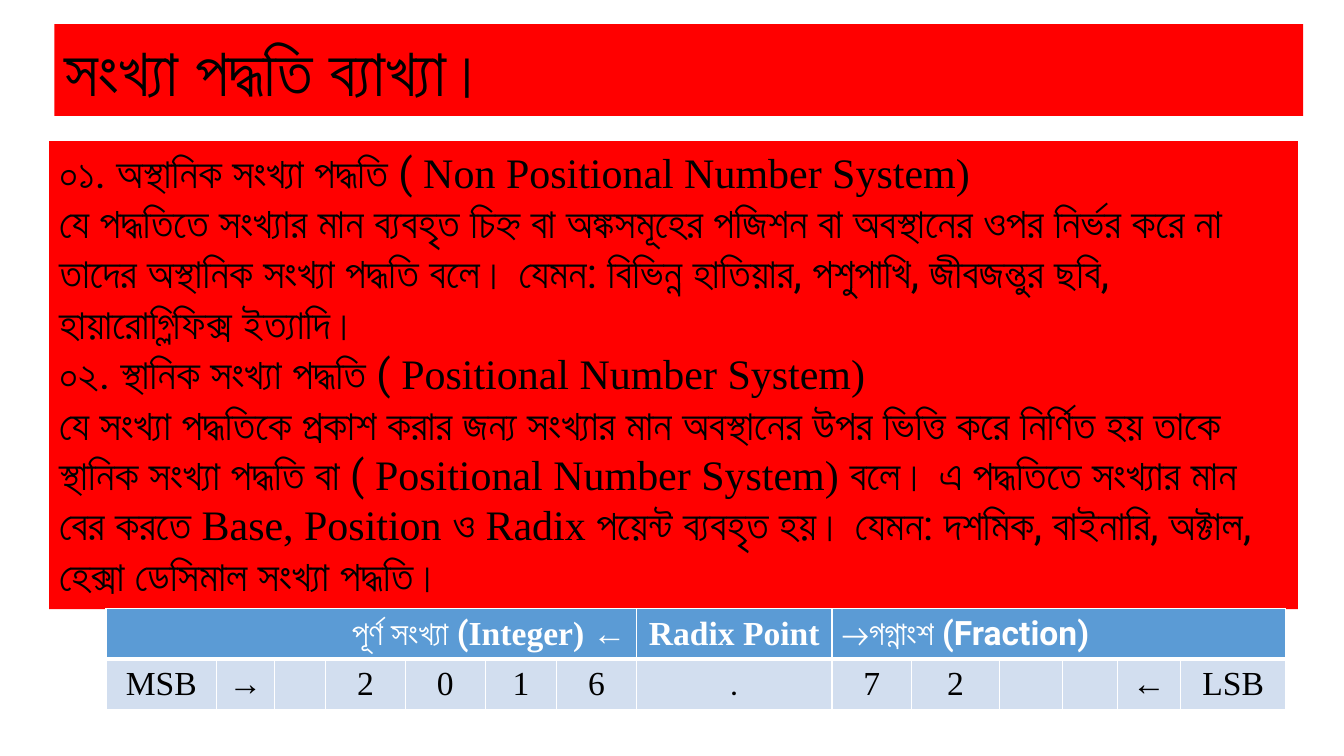
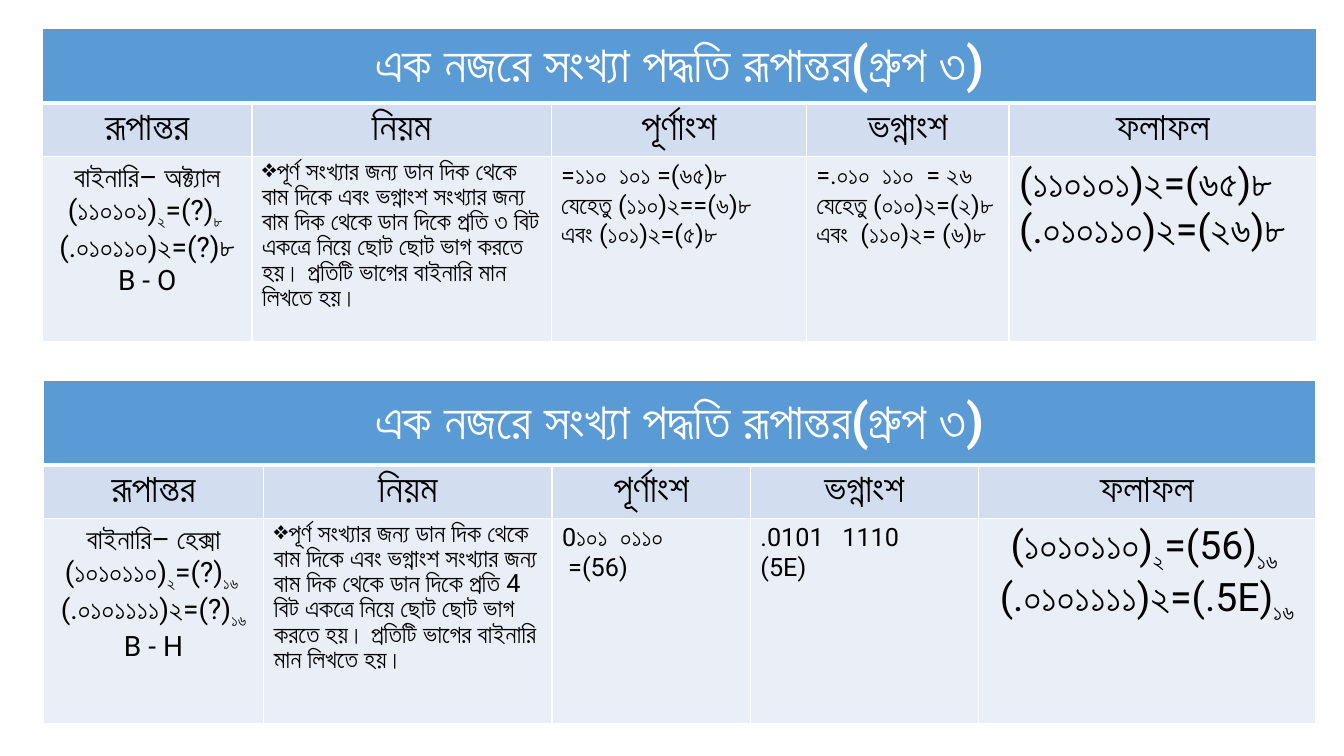
from lxml.etree import SubElement
from pptx import Presentation
from pptx.dml.color import RGBColor
from pptx.enum.shapes import MSO_SHAPE
from pptx.enum.text import MSO_ANCHOR, PP_ALIGN
from pptx.oxml.ns import qn
from pptx.util import Cm, Pt

RED = RGBColor(0xFF, 0x00, 0x00)
BLACK = RGBColor(0x00, 0x00, 0x00)
WHITE = RGBColor(0xFF, 0xFF, 0xFF)
HEADER_BLUE = RGBColor(0x5B, 0x9B, 0xD5)
BAND_BLUE = RGBColor(0xD2, 0xDE, 0xEF)
PALE_BLUE = RGBColor(0xEA, 0xEF, 0xF7)
BODY_FONT = "Roboto"
LATIN_FONT = "Times New Roman"
LEFT, CENTER, RIGHT = PP_ALIGN.LEFT, PP_ALIGN.CENTER, PP_ALIGN.RIGHT

SYSTEMS = [
    "০১. অস্থানিক সংখ্যা পদ্ধতি ( |Non Positional Number System)",
    "যে পদ্ধতিতে সংখ্যার মান ব্যবহৃত চিহ্ন বা অঙ্কসমূহের পজিশন বা অবস্থানের ওপর নির্ভর করে না "
    "তাদের অস্থানিক সংখ্যা পদ্ধতি বলে। যেমন: বিভিন্ন হাতিয়ার, পশুপাখি, জীবজন্তুর ছবি, "
    "হায়ারোগ্লিফিক্স ইত্যাদি।",
    "০২. স্থানিক সংখ্যা পদ্ধতি ( |Positional Number System)",
    "যে সংখ্যা পদ্ধতিকে প্রকাশ করার জন্য সংখ্যার মান অবস্থানের উপর ভিত্তি করে নির্ণিত হয় তাকে "
    "স্থানিক সংখ্যা পদ্ধতি বা ( |Positional Number System) |বলে। এ পদ্ধতিতে সংখ্যার মান বের করতে "
    "|Base, Position |ও |Radix |পয়েন্ট ব্যবহৃত হয়। যেমন: দশমিক, বাইনারি, অক্টাল, "
    "হেক্সা ডেসিমাল সংখ্যা পদ্ধতি।",
]
PLACE_COLUMNS = [2.79, 1.45, 1.3, 2.01, 2.01, 1.8, 2.01, 4.93, 2.01, 2.21, 1.6, 1.37, 1.6, 2.64]
PLACE_HEADERS = [
    (0, 6, "পূর্ণ সংখ্যা (|Integer) ←", RIGHT),
    (7, 7, "|Radix Point", CENTER),
    (8, 13, "→গগ্নাংশ (Fraction)", LEFT),
]
PLACE_DIGITS = ["|MSB", "|→", "", "|2", "|0", "|1", "|6", ".", "|7", "|2", "", "", "|←", "|LSB"]

CONVERSION_TITLE = "এক নজরে সংখ্যা পদ্ধতি রূপান্তর(গ্রুপ ৩)"
CONVERSION_HEADINGS = ["রূপান্তর", "নিয়ম", "পূর্ণাংশ", "ভগ্নাংশ", "ফলাফল"]
RULE = ("পূর্ণ সংখ্যার জন্য ডান দিক থেকে বাম দিকে এবং ভগ্নাংশ সংখ্যার জন্য বাম দিক থেকে ডান দিকে "
        "প্রতি {} বিট একত্রে নিয়ে ছোট ছোট ভাগ করতে হয়। প্রতিটি ভাগের বাইনারি মান লিখতে হয়।")
OCTAL = [
    ["বাইনারি– অক্ট্যাল (১১০১০১)|২|=(?)|৮ ", "(.০১০১১০)২=(?)৮", "B - O"],
    [RULE.format("৩")],
    ["=১১০  ১০১ =(৬৫)৮", "যেহেতু (১১০)২==(৬)৮", "এবং (১০১)২=(৫)৮"],
    ["=.০১০  ১১০  = ২৬", "যেহেতু (০১০)২=(২)৮", "এবং  (১১০)২= (৬)৮"],
    ["(১১০১০১)২=(৬৫)৮", "(.০১০১১০)২=(২৬)৮"],
]
HEXADECIMAL = [
    ["বাইনারি– হেক্সা (১০১০১১০)|২|=(?)|১৬ ", "(.০১০১১১১)২=(?)|১৬", "B - H"],
    [RULE.format("4")],
    ["0১০১  ০১১০", " =(56)"],
    [".0101   1110", "(5E)"],
    ["(১০১০১১০)|২|=(56)|১৬ ", "(.০১০১১১১)২=(.5E)|১৬"],
]


def set_typeface(run, name):
    """Use one typeface for Latin, East Asian and complex scripts."""
    run.font.name = name
    properties = run._r.get_or_add_rPr()
    for tag in ("a:ea", "a:cs"):
        SubElement(properties, qn(tag)).set("typeface", name)


def set_latin(run):
    set_typeface(run, LATIN_FONT)


def set_subscript(run):
    set_typeface(run, BODY_FONT)
    run._r.get_or_add_rPr().set("baseline", "-25000")


def write(text_frame, lines, size, color=BLACK, align=LEFT, bold=False,
          alternate=set_latin, line_pitch=None, bullet=None):
    """Write one paragraph per line; every second part between bars gets the alternate style."""
    for index, line in enumerate(lines):
        paragraph = text_frame.add_paragraph() if index else text_frame.paragraphs[0]
        paragraph.alignment = align
        if line_pitch:
            paragraph.line_spacing = Pt(line_pitch)
        if bullet:
            properties = paragraph._p.get_or_add_pPr()
            properties.set("marL", "0")
            properties.set("indent", "0")
            SubElement(properties, qn("a:buChar")).set("char", bullet)
        for number, part in enumerate(line.split("|")):
            if not part:
                continue
            run = paragraph.add_run()
            run.text = part
            run.font.size = Pt(size)
            run.font.bold = bold
            run.font.color.rgb = color
            if number % 2:
                alternate(run)
            else:
                set_typeface(run, BODY_FONT)


def add_panel(slide, box, lines, size):
    shape = slide.shapes.add_shape(MSO_SHAPE.RECTANGLE, *map(Cm, box))
    shape.shadow.inherit = False
    shape.fill.solid()
    shape.fill.fore_color.rgb = RED
    shape.line.fill.background()
    text_frame = shape.text_frame
    text_frame.word_wrap = True
    text_frame.vertical_anchor = MSO_ANCHOR.TOP
    write(text_frame, lines, size)


def style_cell(cell, fill, row):
    """Fill the cell and draw white borders, thicker between the first two rows."""
    properties = cell._tc.get_or_add_tcPr()
    widths = {"L": 1, "R": 1, "T": 3 if row == 1 else 1, "B": 3 if row == 0 else 1}
    for side, width in widths.items():
        line = SubElement(properties, qn(f"a:ln{side}"), w=str(Pt(width)))
        solid = SubElement(line, qn("a:solidFill"))
        SubElement(solid, qn("a:srgbClr")).set("val", str(WHITE))
    cell.fill.solid()
    cell.fill.fore_color.rgb = fill


def add_grid(slide, left, top, columns, rows, fills):
    frame = slide.shapes.add_table(len(rows), len(columns), Cm(left), Cm(top),
                                   Cm(sum(columns)), Cm(sum(rows)))
    table = frame.table
    table.first_row = table.horz_banding = False
    for column, width in zip(table.columns, columns):
        column.width = Cm(width)
    for index, (row, height) in enumerate(zip(table.rows, rows)):
        row.height = Cm(height)
        for cell in row.cells:
            style_cell(cell, fills[index], index)
    return table


def add_place_table(slide, left, top):
    table = add_grid(slide, left, top, PLACE_COLUMNS, [1.27, 1.27], [HEADER_BLUE, BAND_BLUE])
    for first, last, text, align in PLACE_HEADERS:
        cell = table.cell(0, first)
        if last > first:
            cell.merge(table.cell(0, last))
        cell.vertical_anchor = MSO_ANCHOR.MIDDLE
        write(cell.text_frame, [text], 24, WHITE, align, bold=True)
    for column, text in enumerate(PLACE_DIGITS):
        cell = table.cell(1, column)
        cell.vertical_anchor = MSO_ANCHOR.MIDDLE
        write(cell.text_frame, [text], 24, align=CENTER)


def add_conversion_table(slide, left, top, columns, rows, contents, result_align):
    table = add_grid(slide, left, top, columns, rows, [HEADER_BLUE, BAND_BLUE, PALE_BLUE])
    title = table.cell(0, 0)
    title.merge(table.cell(0, len(columns) - 1))
    title.vertical_anchor = MSO_ANCHOR.MIDDLE
    write(title.text_frame, [CONVERSION_TITLE], 36, WHITE, CENTER, bold=True)
    styles = [
        dict(size=20, align=CENTER),
        dict(size=18, line_pitch=18, bullet="❖"),
        dict(size=18),
        dict(size=18),
        dict(size=28, align=result_align),
    ]
    for column, (heading, lines, style) in enumerate(zip(CONVERSION_HEADINGS, contents, styles)):
        write(table.cell(1, column).text_frame, [heading], 28, align=CENTER, line_pitch=30)
        write(table.cell(2, column).text_frame, lines, alternate=set_subscript, **style)


def build_explanation_slide(slide):
    add_panel(slide, (1.37, 0.61, 31.47, 2.31), ["সংখ্যা পদ্ধতি ব্যাখ্যা।"], 48)
    add_panel(slide, (1.24, 3.56, 31.47, 11.79), SYSTEMS, 30)
    add_place_table(slide, 2.67, 15.34)


def build_conversion_slide(slide):
    add_conversion_table(slide, 1.07, 0.71, [5.28, 7.54, 6.43, 5.11, 7.75],
                         [1.88, 1.35, 4.67], OCTAL, LEFT)
    add_conversion_table(slide, 1.09, 9.58, [5.56, 7.26, 5, 5.74, 8.51],
                         [2.13, 1.35, 5.18], HEXADECIMAL, CENTER)


def main():
    presentation = Presentation()
    presentation.slide_width = Cm(33.87)
    presentation.slide_height = Cm(19.05)
    for build in (build_explanation_slide, build_conversion_slide):
        build(presentation.slides.add_slide(presentation.slide_layouts[6]))
    presentation.save("out.pptx")


if __name__ == "__main__":
    main()
